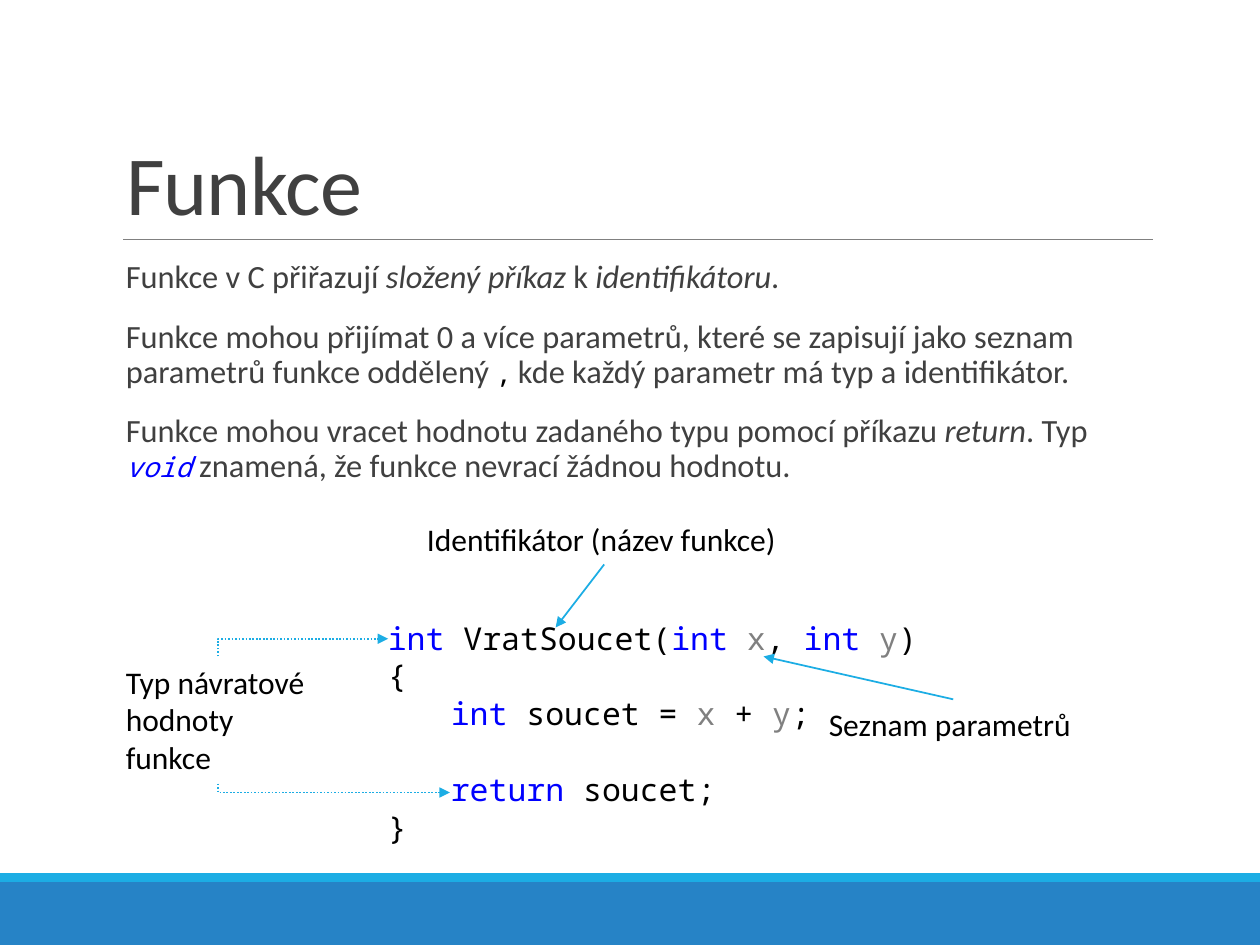
from lxml import etree
from pptx import Presentation
from pptx.dml.color import RGBColor
from pptx.enum.dml import MSO_LINE
from pptx.enum.shapes import MSO_CONNECTOR, MSO_SHAPE
from pptx.enum.text import MSO_ANCHOR, MSO_AUTO_SIZE, PP_ALIGN
from pptx.oxml.ns import qn
from pptx.util import Inches, Pt

STRAIGHT, ELBOW = MSO_CONNECTOR.STRAIGHT, MSO_CONNECTOR.ELBOW
RECTANGLE = MSO_SHAPE.RECTANGLE
DOTTED = MSO_LINE.ROUND_DOT
BOTTOM, LEFT = MSO_ANCHOR.BOTTOM, PP_ALIGN.LEFT
FIT_SHAPE = MSO_AUTO_SIZE.SHAPE_TO_FIT_TEXT
rgb = RGBColor.from_string

SANS, MONO = "Calibri", "Noto Sans Mono"
BLUE, CYAN, INK, GRAY, BLACK, KEYWORD = (
    "2683C6", "1CADE4", "404040", "808080", "000000", "0000FF")

# Run styles: font, size, colour, italic; None keeps the paragraph's value
STYLES = {
    "plain": (None, None, None, None),
    "italic": (None, None, None, True),
    "small": (None, 15.7, None, None),
    "comma": (MONO, 15.7, BLACK, None),
    "void": (MONO, 15.7, KEYWORD, True),
    "keyword": (None, None, KEYWORD, None),
    "parameter": (None, None, GRAY, None),
}


def grid(*cells):
    """Grid of 100 columns by 75 rows."""
    return [Inches(cell / 10) for cell in cells]


def add_text(area, paragraphs, font, size, color):
    box = slide.shapes.add_textbox(*grid(*area))
    frame = box.text_frame
    frame.word_wrap = True
    for index, runs in enumerate(paragraphs):
        paragraph = frame.paragraphs[0] if index == 0 else frame.add_paragraph()
        paragraph.font.name, paragraph.font.size = font, Pt(size)
        paragraph.font.color.rgb = rgb(color)
        for text, style in runs:
            run = paragraph.add_run()
            run.text = text
            run_font, run_size, run_color, italic = STYLES[style]
            if run_font:
                run.font.name = run_font
            if run_size:
                run.font.size = Pt(run_size)
            if run_color:
                run.font.color.rgb = rgb(run_color)
            if italic:
                run.font.italic = True
    return box


prs = Presentation()
prs.slide_width, prs.slide_height = grid(100, 75)
slide = prs.slides.add_slide(prs.slide_layouts[5])

# Footer bands
for area, color in [((0, 70, 100, 5), BLUE), ((0, 69.3, 100, 0.7), CYAN)]:
    band = slide.shapes.add_shape(RECTANGLE, *grid(*area))
    band.shadow.inherit = False
    band.fill.solid()
    band.fill.fore_color.rgb = rgb(color)
    band.line.fill.background()

# Title
title = slide.shapes.title
title.left, title.top, title.width, title.height = grid(9, 3.1, 82.5, 15.9)
title.text_frame.text = "Funkce"
title.text_frame.vertical_anchor = BOTTOM
title.text_frame.auto_size = MSO_AUTO_SIZE.NONE
heading = title.text_frame.paragraphs[0]
heading.alignment, heading.line_spacing = LEFT, 0.85
heading.font.name, heading.font.size = SANS, Pt(48)
heading.font.color.rgb = rgb(INK)
heading.runs[0].font._element.set("spc", "-50")

# Explanation
explanation = add_text((9, 20.2, 82.5, 19.4), [
    [("Funkce v C přiřazují ", "plain"), ("složený příkaz ", "italic"),
     ("k ", "plain"), ("identifikátoru", "italic"), (".", "plain")],
    [("Funkce mohou přijímat 0 a více parametrů, které se zapisují jako "
      "seznam parametrů funkce oddělený", "plain"), (" ", "small"),
     (",", "comma"), (" ", "small"),
     ("kde každý parametr má typ a identifikátor.", "plain")],
    [("Funkce mohou vracet hodnotu zadaného typu pomocí příkazu ", "plain"),
     ("return", "italic"), (". Typ ", "plain"), ("void", "void"),
     (" znamená, že funkce nevrací žádnou hodnotu.", "plain")],
], SANS, 18.5, INK).text_frame
explanation.margin_left, explanation.margin_right = grid(1, 0)
for index, paragraph in enumerate(explanation.paragraphs):
    paragraph.line_spacing, paragraph.space_after = 0.9, Pt(2)
    if index:
        paragraph.space_before = Pt(12)

# Code sample
code = add_text((29.8, 48.6, 50, 19.2), [
    [("int", "keyword"), (" VratSoucet(", "plain"), ("int", "keyword"),
     (" ", "plain"), ("x", "parameter"), (", ", "plain"), ("int", "keyword"),
     (" ", "plain"), ("y", "parameter"), (")", "plain")],
    [("{", "plain")],
    [("int", "keyword"), (" soucet = ", "plain"), ("x", "parameter"),
     (" + ", "plain"), ("y", "parameter"), (";", "plain")],
    [],
    [("return", "keyword"), (" soucet;", "plain")],
    [("}", "plain")],
], MONO, 18, BLACK)
code.text_frame.auto_size = FIT_SHAPE
for paragraph in code.text_frame.paragraphs[2:5]:
    paragraph.level = 1
    paragraph._p.get_or_add_pPr().set("marL", str(Inches(0.5)))

# Captions
identifier, parameters, return_type = [
    add_text(area, [[(caption, "plain")]], SANS, 18, BLACK)
    for area, caption in [
        ((32.9, 40.8, 30.1, 4), "Identifikátor (název funkce)"),
        ((64.8, 55.5, 21.7, 4), "Seznam parametrů"),
        ((9, 52.1, 16.6, 10.1), "Typ návratové hodnoty funkce"),
    ]]
for caption in (identifier, parameters, return_type):
    caption.text_frame.auto_size = FIT_SHAPE

# Rule under the title
rule = slide.shapes.add_connector(STRAIGHT, *grid(9.8, 19, 91.5, 19))
rule.line.color.rgb, rule.line.width = rgb(GRAY), Pt(0.5)

# Straight arrows from captions to the signature
arrows = []
for caption, side, start, tip in [(identifier, 2, (48, 44.8), (44.1, 49.8)),
                                  (parameters, 0, (75.6, 55.5), (60.6, 52.1))]:
    arrow = slide.shapes.add_connector(STRAIGHT, *grid(*start, *tip))
    arrow.begin_connect(caption, side)
    arrows.append(arrow)

# Dotted elbows: vertical first, then right, so the one-bend shape is turned
for (x0, y0), (x1, y1) in [((17.3, 62.2), (35.7, 62.9)),
                           ((17.3, 52.1), (30.8, 50.7))]:
    down = y1 > y0
    mid_x, mid_y = (x0 + x1) / 2, (y0 + y1) / 2
    half_w = abs(y1 - y0) / 2
    half_h = (x1 - x0) / 2 if down else (x0 - x1) / 2
    arrow = slide.shapes.add_connector(ELBOW, *grid(
        mid_x + half_w, mid_y - half_h, mid_x - half_w, mid_y + half_h))
    properties = arrow._element.spPr
    properties.find(qn("a:xfrm")).set("rot", str((270 if down else 90) * 60000))
    properties.find(qn("a:prstGeom")).set("prst", "bentConnector2")
    arrow.line.dash_style = DOTTED
    arrows.append(arrow)

for arrow in arrows:
    arrow.line.color.rgb, arrow.line.width = rgb(CYAN), Pt(1)
    etree.SubElement(arrow.line._get_or_add_ln(), qn("a:tailEnd"), type="triangle")
for connector in [rule, *arrows]:
    etree.SubElement(connector._element.spPr, qn("a:effectLst"))

prs.save("out.pptx")
